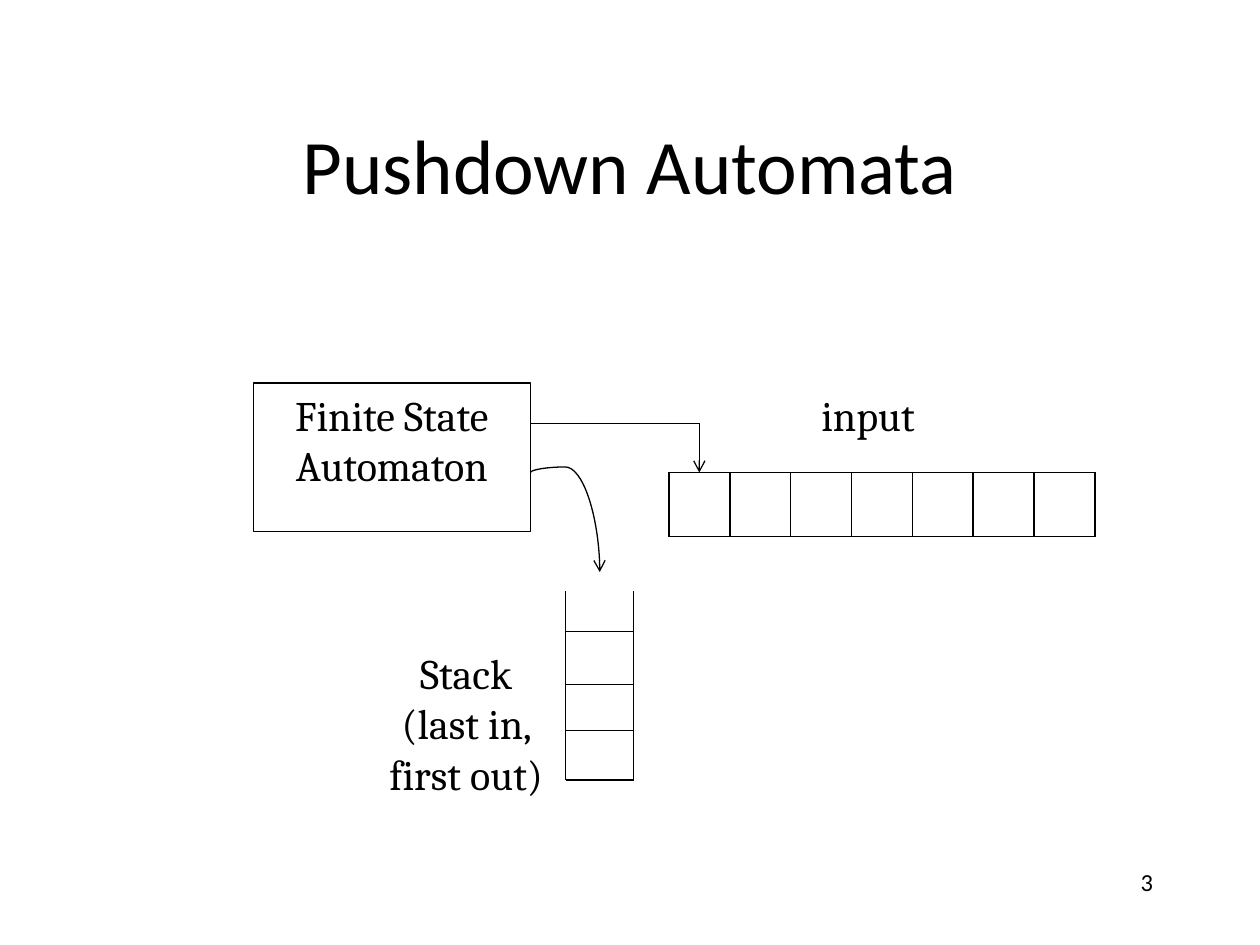
from lxml import etree
from pptx import Presentation
from pptx.dml.color import RGBColor
from pptx.enum.shapes import MSO_CONNECTOR, MSO_SHAPE
from pptx.enum.text import MSO_ANCHOR, PP_ALIGN
from pptx.oxml.ns import qn
from pptx.util import Inches, Pt

BLACK = RGBColor(0x00, 0x00, 0x00)
STRAIGHT, CURVE = MSO_CONNECTOR.STRAIGHT, MSO_CONNECTOR.CURVE
LEFT, CENTER, RIGHT = PP_ALIGN.LEFT, PP_ALIGN.CENTER, PP_ALIGN.RIGHT
TOP, MIDDLE = MSO_ANCHOR.TOP, MSO_ANCHOR.MIDDLE
RECTANGLE = MSO_SHAPE.RECTANGLE


def write_text(sp, text, size=24, font="Cambria", align=LEFT, anchor=TOP):
    """Fill a shape with one paragraph per line of text."""
    tf = sp.text_frame
    tf.word_wrap = True
    tf.vertical_anchor = anchor
    for i, line in enumerate(text.split("\n")):
        p = tf.paragraphs[0] if i == 0 else tf.add_paragraph()
        p.alignment = align
        r = p.add_run()
        r.text = line
        r.font.size = Pt(size)
        r.font.name = font
        r.font.color.rgb = BLACK


def add_label(s, box, text, **fmt):
    """Add a text box."""
    write_text(s.shapes.add_textbox(*map(Inches, box)), text, **fmt)


def add_line(s, x1, y1, x2, y2, kind=STRAIGHT, arrow=False):
    """Add a thin black connector, with an open arrowhead if asked."""
    cxn = s.shapes.add_connector(kind, *map(Inches, (x1, y1, x2, y2)))
    cxn.line.color.rgb = BLACK
    cxn.line.width = Pt(0.75)
    if arrow:
        etree.SubElement(cxn.line._get_or_add_ln(), qn("a:tailEnd"), type="arrow")
    etree.SubElement(cxn._element.spPr, qn("a:effectLst"))
    return cxn


def add_automaton(s, box):
    """Draw the box of the finite state automaton."""
    sp = s.shapes.add_shape(RECTANGLE, *map(Inches, box))
    sp.shadow.inherit = False
    sp.fill.background()
    sp.line.color.rgb = BLACK
    sp.line.width = Pt(0.75)
    write_text(sp, "Finite State Automaton", align=CENTER)


def set_borders(cell):
    """Give a cell black borders on all four sides."""
    tc_pr = cell._tc.get_or_add_tcPr()
    for i, side in enumerate(("a:lnL", "a:lnR", "a:lnT", "a:lnB")):
        ln = etree.Element(qn(side), w=str(Pt(1)))
        fill = etree.SubElement(ln, qn("a:solidFill"))
        etree.SubElement(fill, qn("a:srgbClr"), val=str(BLACK))
        tc_pr.insert(i, ln)


def add_tape(s, box, cells=7):
    """Draw the input tape and its label."""
    x, y, w, h = box
    table = s.shapes.add_table(1, cells, *map(Inches, box)).table
    table.first_row = table.horz_banding = False
    for col in table.columns:
        col.width = Inches(w / cells)
    for cell in table.rows[0].cells:
        cell.fill.background()
        set_borders(cell)
    add_label(s, (x + 1.11, y - 0.71, 1.02, 0.5), "input")


def add_tape_head(s, box):
    """Draw the angled arrow from the automaton to the tape."""
    x, y, w, h = box
    add_line(s, x, y, x + w, y)
    add_line(s, x + w, y, x + w, y + h, arrow=True)


def add_stack_head(s, box):
    """Draw the curved arrow from the automaton to the stack."""
    x, y, w, h = box
    left, top = x + (w - h) / 2, y + (h - w) / 2
    cxn = add_line(s, left, top, left + h, top + w, kind=CURVE, arrow=True)
    xfrm = cxn._element.spPr.find(qn("a:xfrm"))
    xfrm.set("rot", "16200000")
    xfrm.set("flipH", "1")
    guides = cxn._element.spPr.find(qn("a:prstGeom")).find(qn("a:avLst"))
    etree.SubElement(guides, qn("a:gd"), name="adj1", fmla="val -5600")


def add_stack(s, box):
    """Draw the open-topped stack and its label."""
    x, y, w, h = box
    for side in (x, x + w):
        add_line(s, side, y, side, y + h)
    for dy in (0.32, 0.74, 1.11, h):
        add_line(s, x, y + dy, x + w, y + dy)
    add_label(s, (x - 1.54, y + 0.4, 1.5, 1.31),
              "Stack\n(last in, first out)", align=CENTER)


def main():
    """Build the slide and save it."""
    prs = Presentation()
    prs.slide_width, prs.slide_height = Inches(10), Inches(7.5)
    s = prs.slides.add_slide(prs.slide_layouts[6])
    add_label(s, (0.75, 0.67, 8.5, 1.25), "Pushdown Automata",
              size=44, font="Calibri", align=CENTER, anchor=MIDDLE)
    add_tape(s, (5.31, 3.75, 3.38, 0.51))
    add_automaton(s, (2.01, 3.04, 2.2, 1.18))
    add_stack_head(s, (4.21, 3.75, 0.55, 0.79))
    add_tape_head(s, (4.21, 3.36, 1.34, 0.39))
    add_stack(s, (4.49, 4.69, 0.54, 1.5))
    add_label(s, (7.17, 6.83, 2.08, 0.5), "3", size=14, font="Calibri", align=RIGHT)
    prs.save("out.pptx")


if __name__ == "__main__":
    main()
